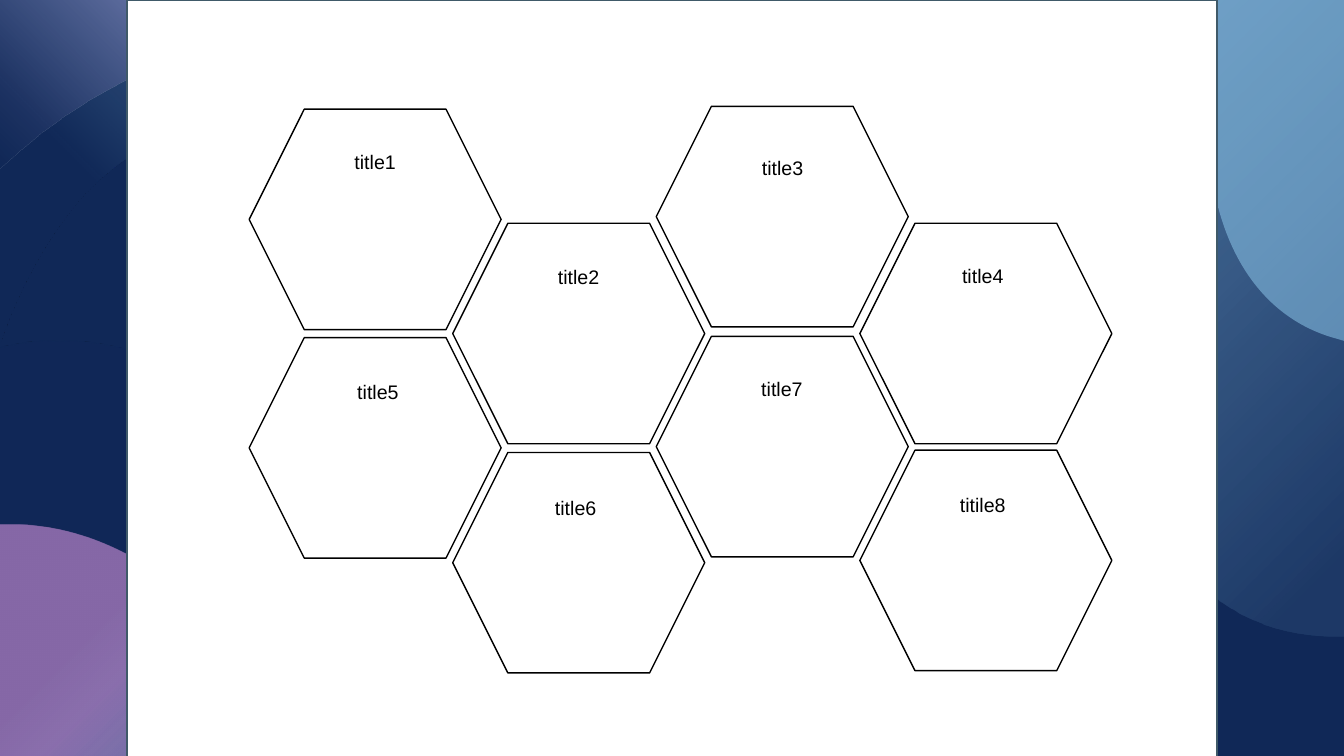
from pptx import Presentation
from pptx.dml.color import RGBColor
from pptx.enum.shapes import MSO_SHAPE
from pptx.enum.text import MSO_ANCHOR, MSO_AUTO_SIZE, PP_ALIGN
from pptx.oxml import parse_xml
from pptx.oxml.ns import nsdecls, qn
from pptx.util import Pt

# Content: title, column, hexagon top, label centre, label top, label width (points)
CELLS = [
    ("title1", 0, 78, 268, 103.7, 138.2),
    ("title5", 0, 241.2, 270, 267.8, 145.4),
    ("title2", 1, 159.5, 413.3, 185.8, 138.2),
    ("title6", 1, 323.2, 411.2, 350.6, 145.4),
    ("title3", 2, 76, 559, 108, 138.2),
    ("title7", 2, 240.3, 558.6, 265.7, 141.8),
    ("title4", 3, 159.5, 702, 185, 138.2),
    ("titile8", 3, 321.6, 702, 348.2, 138.2),
]

# Background blobs: outline pairs are line ends, sextets are Bezier curves.
# Stops are (position, colour, opacity); focus is (left, top, right, bottom).
BLOBS = [
    {"outline": [(43, 243), (116, 243, 196, 289, 265, 406), (289, 447, 323, 489, 362, 529),
                 (374, 540), (0, 540), (0, 248), (13, 245.5), (23, 243.5, 33, 243, 43, 243)],
     "stops": [(41, "navy", 68), (100, "sky", 29)], "focus": (0, 0, 100, 100)},
    {"outline": [(516, 0), (510.5, 9.4), (487, 42, 440, 62, 364, 51),
                 (264, 36, 106, 76, 50, 151), (32, 174, 16, 202, 3.6, 235),
                 (0, 245), (0, 81.4), (0, 0)],
     "stops": [(0, "sky", 57), (76, "navy", 100)], "focus": (100, 0, 0, 100)},
    {"outline": [(808.5, 0), (960, 0), (960, 454.3), (949, 454.3),
                 (865, 451.4, 793, 385, 821.5, 233.3), (834.5, 167, 829.4, 81, 809.3, 3)],
     "stops": [(10, "sky", 10), (100, "sky", 48)], "focus": (100, 100, 0, 0)},
    {"outline": [(855, 0), (960, 0), (960, 243.5), (955, 242),
                 (902, 228, 860, 176, 862, 72), (862, 50, 860, 26, 855, 1.5)],
     "stops": [(0, "sky", 51)], "focus": None},
    {"outline": [(0, 0), (225, 0), (217.5, 6.5), (201.5, 18, 181, 27, 153, 33),
                 (109, 44, 55, 72, 14, 108), (0, 120.2), (0, 68.4)],
     "stops": [(0, "lilac", 70), (100, "navy", 40)], "focus": (100, 0, 0, 100)},
    {"outline": [(14.5, 375), (70, 376.6, 132, 409, 194.4, 486), (207, 502, 222, 518, 238, 533),
                 (246, 540), (0, 540), (0, 375)],
     "stops": [(47, "pink", 51), (100, "lilac", 24)], "focus": (0, 0, 100, 100)},
]

THEME = {
    "navy": "102857", "sky": "92CDF0", "lilac": "C3B9F2", "pink": "F6A6F4",
    "white": "FFFFFF", "black": "000000", "frame": "405A69",
    "font": "Arial", "label_size": 14, "line_width": 1,
}
PANEL = (90.7, 0, 778.6, 547.2)
FIRST_LEFT, COLUMN_STEP = 178, 145.4
HEXAGON_WIDTH, HEXAGON_HEIGHT = 180, 157.5
LABEL_HEIGHT = 24.5


def colour(name):
    return RGBColor.from_string(THEME[name])


def curve_xml(segment, left, top):
    points = "".join(f'<a:pt x="{Pt(x) - left}" y="{Pt(y) - top}"/>'
                     for x, y in zip(segment[::2], segment[1::2]))
    return f'<a:cubicBezTo {nsdecls("a")}>{points}</a:cubicBezTo>'


def fill_xml(stops, focus):
    def tint(name, opacity):
        return f'<a:srgbClr val="{THEME[name]}"><a:alpha val="{opacity * 1000}"/></a:srgbClr>'

    if focus is None:
        _, name, opacity = stops[0]
        return f'<a:solidFill {nsdecls("a")}>{tint(name, opacity)}</a:solidFill>'
    gradient_stops = "".join(f'<a:gs pos="{position * 1000}">{tint(name, opacity)}</a:gs>'
                             for position, name, opacity in stops)
    left, top, right, bottom = (side * 1000 for side in focus)
    return (f'<a:gradFill {nsdecls("a")} rotWithShape="1"><a:gsLst>{gradient_stops}</a:gsLst>'
            f'<a:path path="circle"><a:fillToRect l="{left}" t="{top}" r="{right}" b="{bottom}"/>'
            f'</a:path></a:gradFill>')


def add_blob(slide, outline, stops, focus):
    corners = [(Pt(segment[-2]), Pt(segment[-1])) for segment in outline]
    builder = slide.shapes.build_freeform(*corners[0], scale=1.0)
    builder.add_line_segments(corners[1:], close=True)
    shape = builder.convert_to_shape()
    shape.shadow.inherit = False
    shape.line.fill.background()
    shape.fill.background()
    properties = shape._element.spPr

    # Bend the sides that are curves
    sides = list(properties.iter(qn("a:lnTo")))
    for side, segment in zip(sides, outline[1:]):
        if len(segment) == 6:
            curve = parse_xml(curve_xml(segment, shape.left, shape.top))
            side.getparent().replace(side, curve)
    properties.replace(properties.find(qn("a:noFill")), parse_xml(fill_xml(stops, focus)))


def add_outlined(slide, kind, box, line):
    shape = slide.shapes.add_shape(kind, *map(Pt, box))
    shape.shadow.inherit = False
    shape.fill.solid()
    shape.fill.fore_color.rgb = colour("white")
    shape.line.color.rgb = colour(line)
    shape.line.width = Pt(THEME["line_width"])


def add_text(slide, text, box, *, size, color, align=PP_ALIGN.CENTER):
    frame = slide.shapes.add_textbox(*map(Pt, box)).text_frame
    frame.word_wrap = True
    frame.auto_size = MSO_AUTO_SIZE.SHAPE_TO_FIT_TEXT
    frame.vertical_anchor = MSO_ANCHOR.TOP
    paragraph = frame.paragraphs[0]
    paragraph.alignment = align
    run = paragraph.add_run()
    run.text = text
    run.font.name = THEME["font"]
    run.font.size = Pt(size)
    run.font.color.rgb = colour(color)


def main():
    presentation = Presentation()
    presentation.slide_width, presentation.slide_height = Pt(960), Pt(540)
    slide = presentation.slides.add_slide(presentation.slide_layouts[6])

    # Background
    slide.background.fill.solid()
    slide.background.fill.fore_color.rgb = colour("navy")
    for blob in BLOBS:
        add_blob(slide, **blob)

    # White panel and honeycomb
    add_outlined(slide, MSO_SHAPE.RECTANGLE, PANEL, "frame")
    for _, column, top, *_ in CELLS:
        left = FIRST_LEFT + column * COLUMN_STEP
        add_outlined(slide, MSO_SHAPE.HEXAGON, (left, top, HEXAGON_WIDTH, HEXAGON_HEIGHT), "black")

    # Labels
    for title, _, _, centre, top, width in CELLS:
        add_text(slide, title, (centre - width / 2, top, width, LABEL_HEIGHT),
                 size=THEME["label_size"], color="black")

    presentation.save("out.pptx")


if __name__ == "__main__":
    main()
